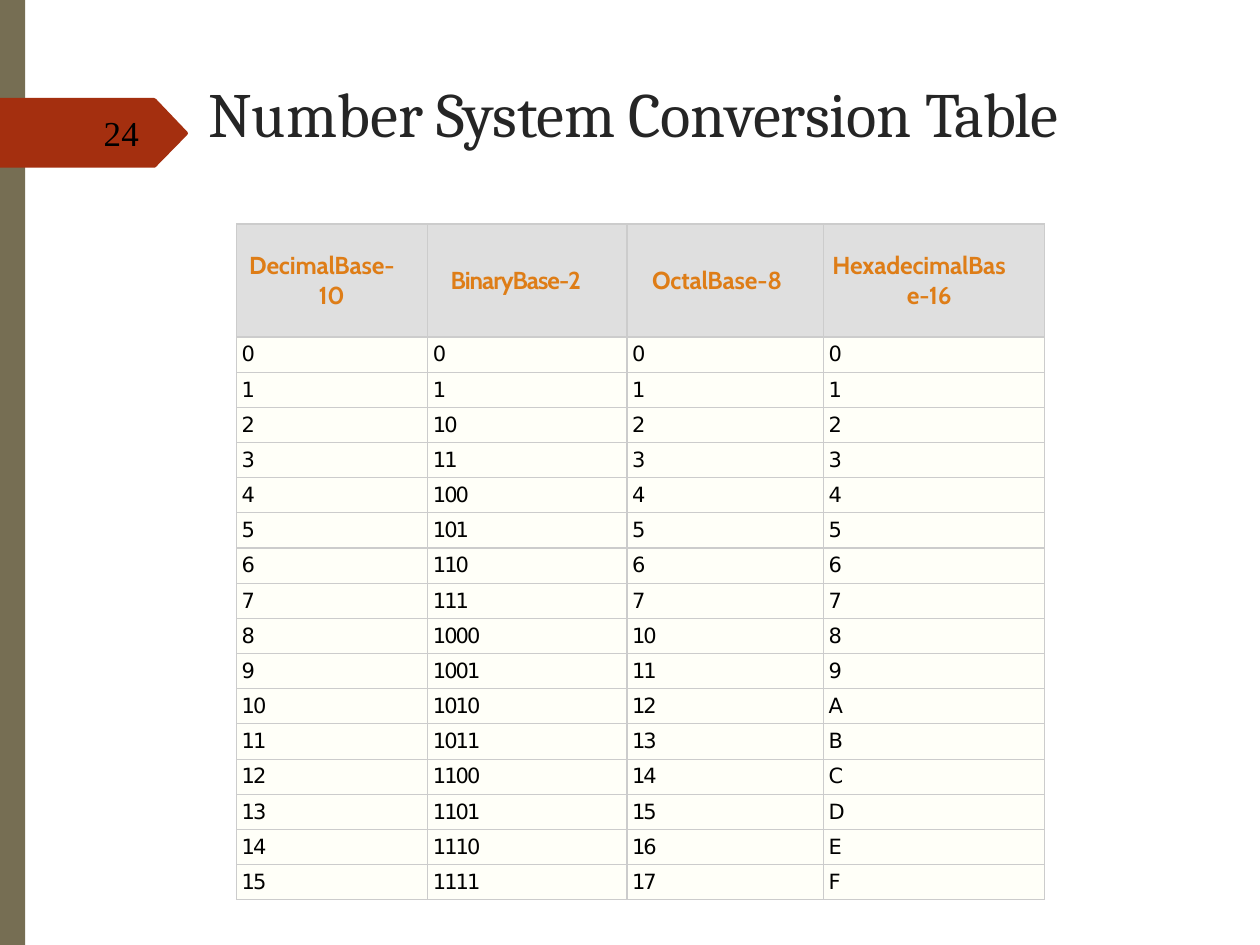
from lxml.etree import SubElement
from pptx import Presentation
from pptx.dml.color import RGBColor
from pptx.enum.shapes import MSO_SHAPE
from pptx.enum.text import MSO_ANCHOR
from pptx.oxml.ns import qn
from pptx.util import Pt

COLORS = {
    "bar": "766E53", "tag": "A42F0F", "title": "252525", "black": "000000",
    "header_text": "DE7D17", "header_fill": "DFDFDF",
    "body_fill": "FFFFF8", "border": "CCCCCC",
}
TITLE = [("Number", 0), (" System Conversion ", -0.2), ("Table", -0.6)]
PAGE_NUMBER = [("24", 0.1)]
# Header text, letter spacing, left indent, first-line indent, column width
COLUMNS = [
    ("DecimalBase-\v10", -0.1, 46.8, -39.6, 109.3),
    ("BinaryBase-2", -0.6, 13, 0, 113.8),
    ("OctalBase-8", -0.1, 14.4, 0, 112.4),
    ("HexadecimalBas\ve-16", -0.1, 47.5, -42.5, 126),
]
NUMBER_FORMATS = ["d", "b", "o", "X"]
ROWS = [[format(number, code) for code in NUMBER_FORMATS] for number in range(16)]

TABLE_LEFT, TABLE_TOP = 135.2, 128
HEADER_HEIGHT, ROW_HEIGHT = 64.6, 20.1
TAG_POINTS = [
    (0, 56), (0, 95.8), (88.5, 95.8), (89.2, 95.3),
    (107.1, 77), (107.4, 76.2), (107.1, 75.4), (89.2, 56.6), (88, 56),
]


def color(name):
    return RGBColor.from_string(COLORS[name])


def paint(shape, name):
    shape.shadow.inherit = False
    shape.fill.solid()
    shape.fill.fore_color.rgb = color(name)
    shape.line.fill.background()


def style_run(run, font_name, size, color_name, spacing=0, bold=False):
    run.font.name = font_name
    run.font.size = Pt(size)
    run.font.bold = bold
    run.font.color.rgb = color(color_name)
    run._r.get_or_add_rPr().set("spc", str(round(spacing * 100)))


def add_text(slide, box, pieces, font_name, size, color_name):
    frame = slide.shapes.add_textbox(*map(Pt, box)).text_frame
    frame.word_wrap = True
    frame.margin_left, frame.margin_top = Pt(0.9), Pt(0.9)
    frame.margin_right = frame.margin_bottom = 0
    paragraph = frame.paragraphs[0]
    paragraph.space_before = Pt(1)
    for text, spacing in pieces:
        run = paragraph.add_run()
        run.text = text
        style_run(run, font_name, size, color_name, spacing)


def fill_cell(cell, text, fill_name, indent, first_line, **run_style):
    properties = cell._tc.get_or_add_tcPr()
    for side in ("lnL", "lnR", "lnT", "lnB"):
        line = SubElement(properties, qn(f"a:{side}"), w=str(Pt(0.75)))
        solid = SubElement(line, qn("a:solidFill"))
        SubElement(solid, qn("a:srgbClr"), val=COLORS["border"])
    cell.fill.solid()
    cell.fill.fore_color.rgb = color(fill_name)
    cell.margin_left = cell.margin_right = cell.margin_top = cell.margin_bottom = 0
    cell.vertical_anchor = MSO_ANCHOR.MIDDLE
    cell.text_frame.text = text
    paragraph = cell.text_frame.paragraphs[0]
    paragraph_properties = paragraph._p.get_or_add_pPr()
    paragraph_properties.set("marL", str(Pt(indent)))
    paragraph_properties.set("indent", str(Pt(first_line)))
    for run in paragraph.runs:
        style_run(run, **run_style)


def add_conversion_table(slide):
    width = sum(column[-1] for column in COLUMNS)
    height = HEADER_HEIGHT + ROW_HEIGHT * len(ROWS)
    table = slide.shapes.add_table(
        len(ROWS) + 1, len(COLUMNS),
        Pt(TABLE_LEFT), Pt(TABLE_TOP), Pt(width), Pt(height)).table
    table.first_row = table.horz_banding = False
    for row in table.rows:
        row.height = Pt(ROW_HEIGHT)
    table.rows[0].height = Pt(HEADER_HEIGHT)

    for index, (text, spacing, indent, first_line, column_width) in enumerate(COLUMNS):
        table.columns[index].width = Pt(column_width)
        fill_cell(table.cell(0, index), text, "header_fill", indent, first_line,
                  font_name="Cabin", size=14, color_name="header_text",
                  spacing=spacing, bold=True)
    for row_index, row in enumerate(ROWS, start=1):
        for index, text in enumerate(row):
            fill_cell(table.cell(row_index, index), text, "body_fill", 2.9, 0,
                      font_name="DejaVu Sans", size=12, color_name="black",
                      spacing=-1.1 if len(text) > 1 else 0)


def main():
    presentation = Presentation()
    presentation.slide_width, presentation.slide_height = Pt(720), Pt(540)
    slide = presentation.slides.add_slide(presentation.slide_layouts[6])

    bar = slide.shapes.add_shape(MSO_SHAPE.RECTANGLE, 0, 0, Pt(14.4), Pt(540))
    paint(bar, "bar")
    start, *others = [(Pt(x), Pt(y)) for x, y in TAG_POINTS]
    builder = slide.shapes.build_freeform(*start)
    builder.add_line_segments(others)
    paint(builder.convert_to_shape(), "tag")

    add_text(slide, (118.1, 41.8, 518.4, 45.4), TITLE, "Cambria", 36, "title")
    add_text(slide, (58.3, 62.6, 22.3, 25.9), PAGE_NUMBER, "Times New Roman", 20, "black")
    add_conversion_table(slide)
    presentation.save("out.pptx")


if __name__ == "__main__":
    main()
